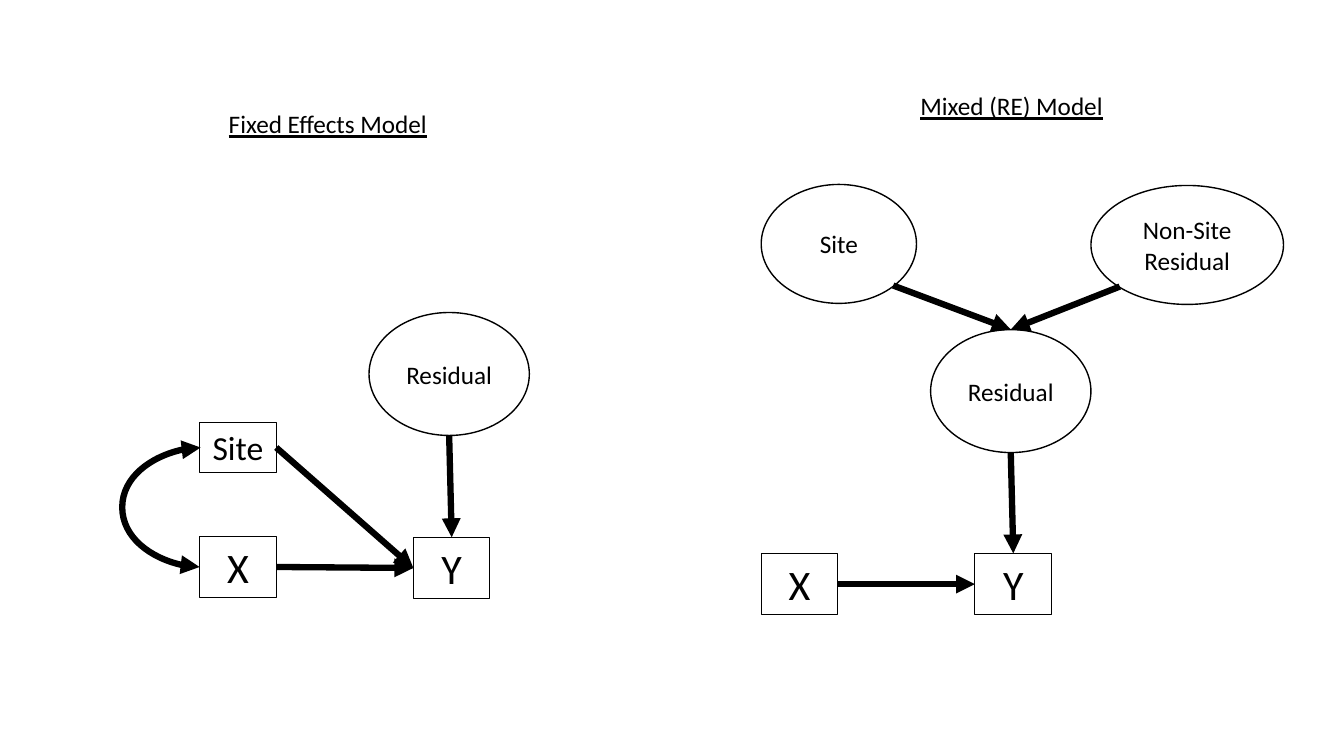
from pptx import Presentation
from pptx.dml.color import RGBColor
from pptx.enum import shapes, text
from pptx.oxml import parse_xml
from pptx.oxml.ns import nsdecls, qn
from pptx.util import Inches, Pt

BLACK = "000000"
FONT = "Calibri"
RECT, OVAL = shapes.MSO_SHAPE.RECTANGLE, shapes.MSO_SHAPE.OVAL

# Heading: words, left, top, width
HEADS = [
    ("Fixed Effects Model", 2.17, 1.03, 2.19),
    ("Mixed (RE) Model", 9.03, 0.85, 2.03),
]
# Node: key -> words, kind, left, top, width, height, font size
NODES = {
    "fix site": ("Site", RECT, 1.98, 4.19, 0.76, 0.5, 24),
    "fix x": ("X", RECT, 1.98, 5.32, 0.76, 0.61, 30),
    "fix y": ("Y", RECT, 4.1, 5.33, 0.76, 0.61, 30),
    "fix res": ("Residual", OVAL, 3.66, 3.1, 1.59, 1.22, 18),
    "mix site": ("Site", OVAL, 7.55, 1.83, 1.54, 1.18, 18),
    "mix non": ("Non-Site Residual", OVAL, 10.82, 1.84, 1.91, 1.18, 18),
    "mix res": ("Residual", OVAL, 9.23, 3.27, 1.59, 1.22, 18),
    "mix x": ("X", RECT, 7.55, 5.49, 0.76, 0.61, 30),
    "mix y": ("Y", RECT, 9.67, 5.49, 0.76, 0.61, 30),
}
# Arrow: from node, side, to node, side
ARROWS = [
    ("fix site", "right", "fix y", "left"),
    ("fix x", "right", "fix y", "left"),
    ("fix res", "bottom", "fix y", "top"),
    ("mix site", "low right", "mix res", "top"),
    ("mix non", "low left", "mix res", "top"),
    ("mix res", "bottom", "mix y", "top"),
    ("mix x", "right", "mix y", "left"),
]
# Side of a node as a share of its width and height
SIDES = {
    "left": (0, 0.5), "right": (1, 0.5), "top": (0.5, 0), "bottom": (0.5, 1),
    "low left": (0.15, 0.85), "low right": (0.85, 0.85),
}
BEND = 0.79  # reach of the curve to the left of Site and X
STEP = 0.01  # offset between the two ends of the curve


def color(code):
    """Turn a hex string into a colour."""
    return RGBColor.from_string(code)


def write(frame, words, size, align, under=None):
    """Put one formatted paragraph in a text frame."""
    para = frame.paragraphs[0]
    para.text, para.alignment = words, align
    font = para.font
    font.name, font.size, font.underline = FONT, Pt(size), under
    font.color.rgb = color(BLACK)


def add_head(slide, words, left, top, width):
    """Add an underlined model heading."""
    box = slide.shapes.add_textbox(*map(Inches, (left, top, width, 0.4)))
    box.text_frame.word_wrap = False
    write(box.text_frame, words, 18, text.PP_ALIGN.LEFT, True)


def add_node(slide, words, kind, left, top, width, height, size):
    """Add a box or an oval with centred words."""
    node = slide.shapes.add_shape(kind, *map(Inches, (left, top, width, height)))
    node.shadow.inherit = False
    node.fill.background()
    node.line.color.rgb = color(BLACK)
    node.line.width = Pt(1 if kind == OVAL else 0.75)
    frame = node.text_frame
    frame.word_wrap = True
    anchor = text.MSO_ANCHOR
    frame.vertical_anchor = anchor.MIDDLE if kind == OVAL else anchor.TOP
    write(frame, words, size, text.PP_ALIGN.CENTER)


def spot(key, side):
    """Find the point on a side of a node."""
    left, top, width, height = NODES[key][2:6]
    across, down = SIDES[side]
    return left + across * width, top + down * height


def add_link(slide, kind, start, end, tips=("tailEnd",)):
    """Add a thick connector with triangle tips."""
    link = slide.shapes.add_connector(kind, *map(Inches, start + end))
    link.line.color.rgb = color(BLACK)
    link.line.width = Pt(4.5)
    for tip in tips:
        link.line._ln.append(parse_xml(f'<a:{tip} {nsdecls("a")} type="triangle"/>'))
    link._element.spPr.append(parse_xml(f'<a:effectLst {nsdecls("a")}/>'))
    return link


def add_curve(slide):
    """Join Site and X with a two-headed curve."""
    left, top = spot("fix site", "left")
    link = add_link(slide, shapes.MSO_CONNECTOR.CURVE, (left + STEP, top),
                    spot("fix x", "left"), ("headEnd", "tailEnd"))
    geom = link._element.spPr.find(qn("a:prstGeom"))
    for old in list(geom):
        geom.remove(old)
    bend = round(BEND / STEP * 100000)
    geom.append(parse_xml(
        f'<a:avLst {nsdecls("a")}><a:gd name="adj1" fmla="val {bend}"/></a:avLst>'))


deck = Presentation()
deck.slide_width, deck.slide_height = Inches(13.33), Inches(7.5)
slide = deck.slides.add_slide(deck.slide_layouts[6])
for head in HEADS:
    add_head(slide, *head)
for node in NODES.values():
    add_node(slide, *node)
for source, out, target, into in ARROWS:
    add_link(slide, shapes.MSO_CONNECTOR.STRAIGHT, spot(source, out), spot(target, into))
add_curve(slide)
deck.save("out.pptx")
